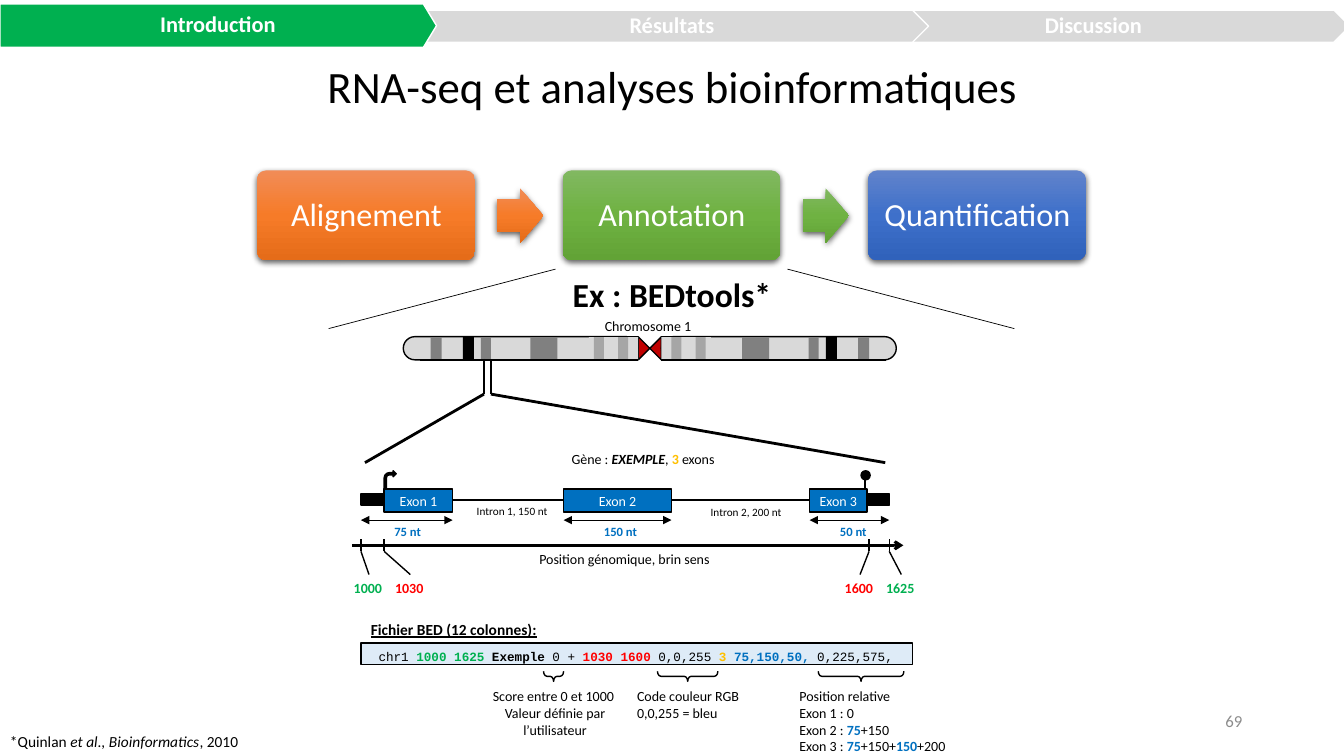
from copy import deepcopy
from typing import NamedTuple

from lxml import etree
from pptx import Presentation
from pptx import util as u
from pptx.dml.color import RGBColor
from pptx.enum import shapes, text
from pptx.oxml.ns import qn

COLORS = {
    "black": "000000", "white": "FFFFFF", "green": "00B050", "red": "FF0000",
    "blue": "0070C0", "yellow": "FFC000", "pale": "D9D9D9", "dark": "808080",
    "mid": "A6A6A6", "number": "8C8C8C", "centromere": "C00000", "file": "DEEBF7",
}
GRADIENTS = {
    "orange": ("F18C57", "F67B28", "E56C19"),
    "green": ("81B861", "6FB242", "62A336"),
    "blue": ("6183CB", "3E70CA", "3062BB"),
}
KIND = shapes.MSO_SHAPE
LEFT, CENTER, RIGHT = text.PP_ALIGN.LEFT, text.PP_ALIGN.CENTER, text.PP_ALIGN.RIGHT
TOP, MIDDLE = text.MSO_ANCHOR.TOP, text.MSO_ANCHOR.MIDDLE


class Span(NamedTuple):
    text: str
    color: str = "black"
    bold: bool = False
    italic: bool = False


class Tab(NamedTuple):
    label: str
    left: float
    top: float
    width: float
    height: float
    notch: float
    tip: float
    fill: str
    insets: tuple


class Step(NamedTuple):
    label: str
    gradient: str


class Exon(NamedTuple):
    label: str
    left: float
    width: float
    span_left: float
    span_right: float
    length: str
    length_left: float


class Position(NamedTuple):
    label: str
    color: str
    tick: float
    label_left: float


class Band(NamedTuple):
    left: float
    width: float
    color: str


deck = Presentation()
deck.slide_width, deck.slide_height = u.Inches(13.33), u.Inches(7.5)
page = deck.slides.add_slide(deck.slide_layouts[5])


def rgb(name: str) -> RGBColor:
    return RGBColor.from_string(COLORS[name])


def write(frame, *lines, size=10, color="black", bold=False, underline=False, font="Calibri",
          align=LEFT, anchor=TOP, insets=(0.1, 0.05, 0.1, 0.05), spacing=None, wrap=False):
    """Fill a text frame; each line is a string or a list of Spans."""
    frame.word_wrap, frame.vertical_anchor = wrap, anchor
    (frame.margin_left, frame.margin_top,
     frame.margin_right, frame.margin_bottom) = map(u.Inches, insets)
    for index, line in enumerate(lines):
        para = frame.add_paragraph() if index else frame.paragraphs[0]
        para.alignment = align
        if spacing:
            para.line_spacing = spacing
        for span in [Span(line, color, bold)] if isinstance(line, str) else line:
            run = para.add_run()
            run.text = span.text
            run.font.name, run.font.size = font, u.Pt(size)
            run.font.bold, run.font.italic = span.bold, span.italic
            run.font.underline = underline
            run.font.color.rgb = rgb(span.color)


def label(left: float, top: float, width: float, height: float, *lines, grow=True, **style):
    box = page.shapes.add_textbox(*map(u.Inches, (left, top, width, height)))
    write(box.text_frame, *lines, **style)
    if grow:
        box.text_frame.auto_size = text.MSO_AUTO_SIZE.SHAPE_TO_FIT_TEXT
    return box


def paint(shape, fill=None, line=None):
    shape.shadow.inherit = False
    if fill:
        shape.fill.solid()
        shape.fill.fore_color.rgb = rgb(fill)
    else:
        shape.fill.background()
    if line:
        shape.line.color.rgb, shape.line.width = rgb(line), u.Pt(1)
    else:
        shape.line.fill.background()


def draw(kind, left: float, top: float, width: float, height: float,
         fill=None, line=None, adjust=(), turn=0):
    shape = page.shapes.add_shape(kind, *map(u.Inches, (left, top, width, height)))
    for index, value in enumerate(adjust):
        shape.adjustments[index] = value
    shape.rotation = turn
    paint(shape, fill, line)
    return shape


def connect(x1: float, y1: float, x2: float, y2: float, width=1.0, head="", tail=""):
    line = page.shapes.add_connector(shapes.MSO_CONNECTOR.STRAIGHT,
                                     *map(u.Inches, (x1, y1, x2, y2)))
    line.line.color.rgb, line.line.width = rgb("black"), u.Pt(width)
    properties = line._element.spPr
    for tag, end in (("a:headEnd", head), ("a:tailEnd", tail)):
        if end:
            etree.SubElement(properties.find(qn("a:ln")), qn(tag), type=end)
    etree.SubElement(properties, qn("a:effectLst"))


def draw_tab(tab: Tab):
    right, bottom, middle = tab.left + tab.width, tab.top + tab.height, tab.top + tab.height / 2
    outline = [(tab.left, tab.top), (right - tab.tip, tab.top), (right, middle),
               (right - tab.tip, bottom), (tab.left, bottom)]
    if tab.notch:
        outline.append((tab.left + tab.notch, middle))
    points = [(u.Inches(x), u.Inches(y)) for x, y in outline]
    builder = page.shapes.build_freeform(*points[0])
    builder.add_line_segments(points[1:], close=True)
    shape = builder.convert_to_shape()
    paint(shape, tab.fill, "white")
    write(shape.text_frame, tab.label, size=16, color="white", bold=True, align=CENTER,
          anchor=MIDDLE, insets=tab.insets, spacing=0.9, wrap=True)


def draw_glossy(kind, left: float, top: float, width: float, height: float, gradient: str, adjust):
    """Draw a shape with a three-stop vertical gradient and a soft shadow."""
    shape = draw(kind, left, top, width, height, adjust=adjust)
    shape.fill.gradient()
    shape.fill.gradient_angle = 270
    properties = shape._element.spPr
    stops = properties.find(qn("a:gradFill")).find(qn("a:gsLst"))
    stops.append(deepcopy(stops[0]))
    for stop, position, color in zip(shape.fill.gradient_stops, (0, 0.5, 1), GRADIENTS[gradient]):
        stop.position, stop.color.rgb = position, RGBColor.from_string(color)
    shadow = etree.SubElement(properties.find(qn("a:effectLst")), qn("a:outerShdw"),
                              blurRad=str(u.Pt(4.5)), dist=str(u.Pt(1.5)), dir="5400000",
                              algn="ctr", rotWithShape="0")
    tint = etree.SubElement(shadow, qn("a:srgbClr"), val=COLORS["black"])
    etree.SubElement(tint, qn("a:alpha"), val="63000")


# Navigation and title
CHEVRON_INSETS = (0.22, 0.04, 0.18, 0.04)
for tab in (Tab("Discussion", 8.26, 0.1, 5.13, 0.32, 0.16, 0.16, "pale", CHEVRON_INSETS),
            Tab("Résultats", 4.08, 0.1, 5.13, 0.32, 0.16, 0.16, "pale", CHEVRON_INSETS),
            Tab("Introduction", 0, 0.04, 4.33, 0.43, 0, 0.13, "green", (0.09, 0.04, 0.1, 0.04))):
    draw_tab(tab)
title = page.shapes.title
title.left, title.top, title.width, title.height = map(u.Inches, (3.11, 0.53, 7.12, 0.64))
write(title.text_frame, "RNA-seq et analyses bioinformatiques", size=32, align=CENTER)
title.text_frame.auto_size = text.MSO_AUTO_SIZE.SHAPE_TO_FIT_TEXT
label(9.42, 6.95, 3, 0.4, "69", size=12, color="number", align=RIGHT, anchor=MIDDLE,
      wrap=True, grow=False)

# Analysis steps
steps = (Step("Alignement", "orange"), Step("Annotation", "green"), Step("Quantification", "blue"))
for index, step in enumerate(steps):
    left = 2.55 + 3.03 * index
    draw_glossy(KIND.ROUNDED_RECTANGLE, left, 1.69, 2.16, 0.89, step.gradient, (0.1,))
    label(left + 0.03, 1.72, 2.11, 0.84, step.label, size=23, color="white", align=CENTER,
          anchor=MIDDLE, insets=(0.1,) * 4, spacing=0.9, wrap=True, grow=False)
    if index < len(steps) - 1:
        draw_glossy(KIND.RIGHT_ARROW, left + 2.38, 1.87, 0.46, 0.54, step.gradient, (0.6, 0.5))
connect(5.51, 2.67, 3.26, 3.26, 0.5)
connect(7.81, 2.67, 10.06, 3.26, 0.5)
label(5.57, 2.67, 2.19, 0.5, "Ex : BEDtools*", size=24, bold=True, align=CENTER)
label(0, 7.21, 2.48, 0.29, [Span("*Quinlan "), Span("et al., Bioinformatics", italic=True),
                            Span(", 2010")], size=11)

# Chromosome: the right arm is the left arm turned half a circle
ARM_TOP, ARM_BOTTOM, ARM_HEIGHT, MIRROR = 3.34, 3.57, 0.23, 12.89
bands = (Band(5.84, 0.49, "pale"), Band(4.27, 0.11, "dark"), Band(4.59, 0.11, "black"),
         Band(4.77, 0.1, "dark"), Band(5.26, 0.27, "dark"), Band(5.89, 0.1, "mid"),
         Band(6.13, 0.1, "mid"))
draw(KIND.FLOWCHART_COLLATE, 6.33, ARM_TOP, 0.23, ARM_HEIGHT, "centromere", "black", turn=270)
for turned in (False, True):
    draw(KIND.ROUNDED_RECTANGLE, 6.56 if turned else 4, ARM_TOP, 2.33, ARM_HEIGHT,
         "pale", "black", (0.5,))
    for band in bands:
        left = MIRROR - band.left - band.width if turned else band.left
        draw(KIND.RECTANGLE, left, ARM_TOP, band.width, ARM_HEIGHT, band.color)
    for start, y in ((4.1, ARM_TOP), (4.17, ARM_BOTTOM)):
        if turned:
            connect(MIRROR - start, ARM_TOP + ARM_BOTTOM - y, 6.56, ARM_TOP + ARM_BOTTOM - y)
        else:
            connect(start, y, 6.33, y)
label(5.9, 3.1, 1.12, 0.28, "Chromosome 1")
for x, far_x in ((4.8, 3.62), (4.87, 8.78)):
    connect(x, 3.56, x, 3.91, 2)
    connect(x, 3.91, far_x, 4.59, 2)

# Gene model
label(5.57, 4.42, 1.65, 0.27, [Span("Gène : "), Span("EXEMPLE", bold=True, italic=True),
                               Span(", "), Span("3", "yellow", True), Span(" exons")])
connect(3.58, 4.96, 8.82, 4.96, 2)
draw(KIND.BENT_ARROW, 3.81, 4.67, 0.12, 0.18, "black", "black", (0.195, 0.25, 0.25, 0.438))
for left in (3.58, 8.59):
    draw(KIND.RECTANGLE, left, 4.9, 0.23, 0.11, "black", "black")
for exon in (Exon("Exon 1", 3.81, 0.68, 3.58, 4.49, "75 nt", 3.87),
             Exon("Exon 2", 5.59, 1.07, 5.59, 6.66, "150 nt", 5.95),
             Exon("Exon 3", 8.03, 0.57, 8.03, 8.82, "50 nt", 8.29)):
    block = draw(KIND.RECTANGLE, exon.left, 4.85, exon.width, 0.23, "blue", "black")
    write(block.text_frame, exon.label, color="white", align=CENTER, anchor=MIDDLE,
          insets=(0.08,) * 4, wrap=True)
    connect(exon.span_left, 5.16, exon.span_right, 5.16, 0.5, "triangle", "triangle")
    label(exon.length_left, 5.16, 0.06 * len(exon.length) + 0.05, 0.23, exon.length,
          size=9, color="blue", bold=True, insets=(0.04,) * 4)
draw(KIND.FLOWCHART_CONNECTOR, 8.54, 4.67, 0.09, 0.09, "black", "black")
connect(8.58, 4.76, 8.58, 4.85, 1.5)
label(4.63, 4.95, 0.91, 0.24, "Intron 1, 150 nt", size=8)
label(6.95, 4.96, 0.91, 0.24, "Intron 2, 200 nt", size=8)

# Genomic axis
connect(3.49, 5.41, 8.96, 5.41, 2, tail="arrow")
label(5.25, 5.41, 1.91, 0.27, "Position génomique, brin sens")
for position in (Position("1000", "green", 3.58, 3.41), Position("1030", "red", 3.81, 3.82),
                 Position("1600", "red", 8.62, 8.28), Position("1625", "green", 8.82, 8.69)):
    connect(position.tick, 5.35, position.tick, 5.47)
    connect(position.label_left + 0.25, 5.7, position.tick, 5.47)
    label(position.label_left, 5.7, 0.5, 0.28, position.label, color=position.color, bold=True)

# BED file
label(3.58, 6.1, 1.86, 0.29, "Fichier BED (12 colonnes):", size=11, bold=True, underline=True)
draw(KIND.RECTANGLE, 3.58, 6.38, 5.47, 0.21, "file", "black")
label(3.57, 6.39, 5.47, 0.25, [
    Span("chr1 "), Span("1000 1625 ", "green", True), Span("Exemple ", bold=True), Span("0 + "),
    Span("1030 1600", "red", True), Span(" 0,0,255 "), Span("3 ", "yellow", True),
    Span("75,150,50, ", "blue", True), Span("0,225,575,")],
    size=9, font="Courier New", align=CENTER, wrap=True)
for center, width in ((5.49, 0.2), (6.82, 0.6), (8.54, 0.85)):
    draw(KIND.RIGHT_BRACE, center - 0.05, 6.71 - width / 2, 0.1, width,
         line="black", adjust=(0.347, 0.5), turn=90)
score = label(4.79, 6.77, 1.43, 0.61, "Score entre 0 et 1000", "Valeur définie par l’utilisateur",
              wrap=True)
score.text_frame.paragraphs[1].alignment = CENTER
label(6.22, 6.77, 1.23, 0.44, "Code couleur RGB", "0,0,255 = bleu")
first_length = Span("75", "blue", True)
label(7.83, 6.77, 1.68, 0.77, "Position relative", "Exon 1 : 0",
      [Span("Exon 2 : "), first_length, Span("+150")],
      [Span("Exon 3 : "), first_length, Span("+150+"), Span("150", "blue", True), Span("+200")])

deck.save("out.pptx")
